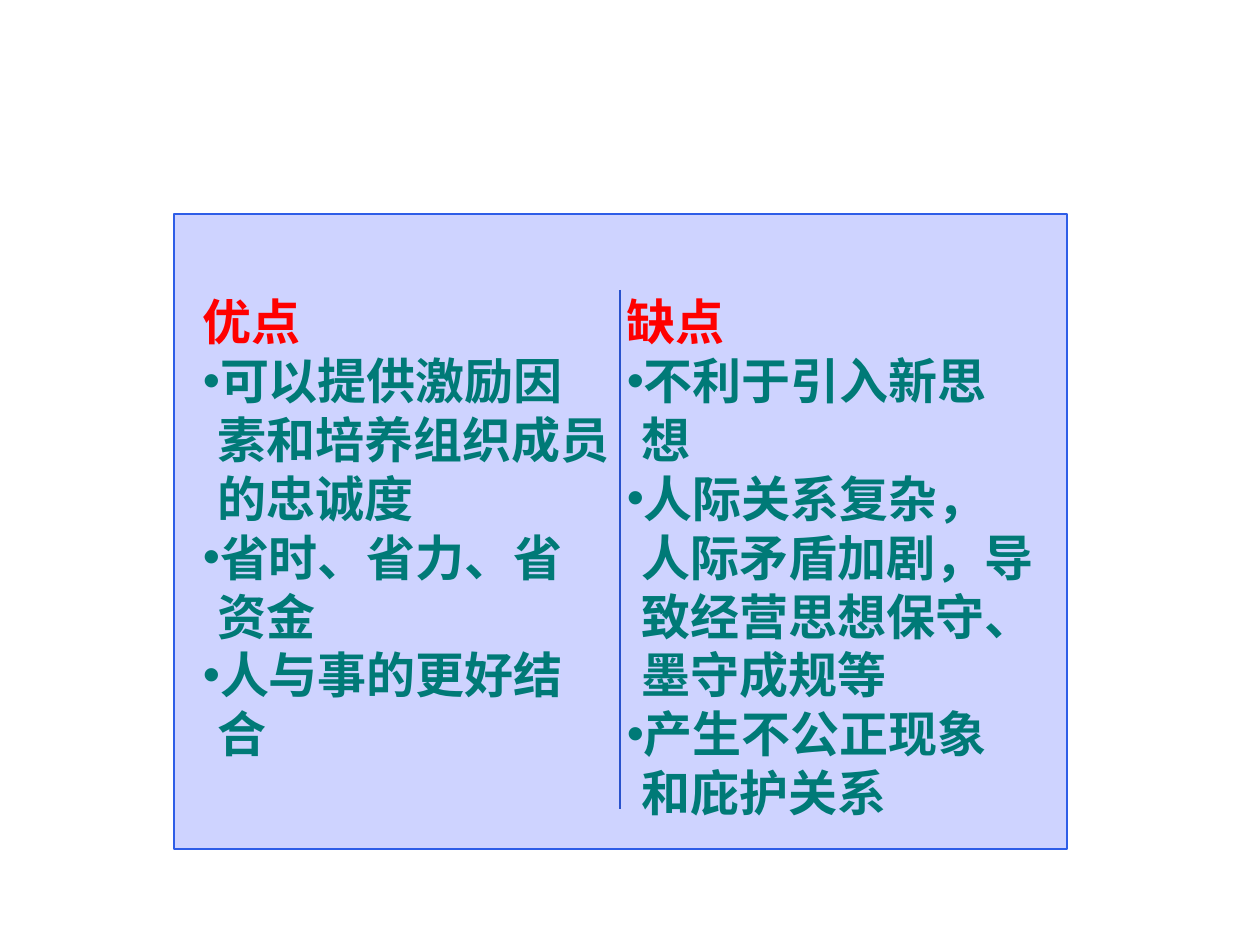
import lxml.etree
import pptx
import pptx.dml.color
import pptx.enum.shapes
import pptx.enum.text
import pptx.oxml.ns
import pptx.util

RGB = pptx.dml.color.RGBColor
PANEL = RGB(0xCE, 0xD3, 0xFF)
EDGE = RGB(0x2E, 0x5D, 0xE7)
RULE = RGB(0x29, 0x52, 0xCC)
RED = RGB(0xFF, 0x00, 0x00)
TEAL = RGB(0x00, 0x7A, 0x77)
SCALE = 914400 // 126
FONT = "Arial"
INSET = 3
HANG = 15

LISTS = (
    (200, "优点", (
        "可以提供激励因素和培养组织成员的忠诚度",
        "省时、省力、省资金",
        "人与事的更好结合",
    )),
    (624, "缺点", (
        "不利于引入新思想",
        "人际关系复杂，人际矛盾加剧，导致经营思想保守、墨守成规等",
        "产生不公正现象和庇护关系",
    )),
)


def px(num):
    return pptx.util.Emu(num * SCALE)


def add(node, tag, **attrs):
    return lxml.etree.SubElement(node, pptx.oxml.ns.qn(tag), **attrs)


def write(para, text, size=28, color=TEAL, bold=True, bullet=False):
    run = para.add_run()
    run.text = text
    font = run.font
    font.name, font.size, font.bold = FONT, pptx.util.Pt(size), bold
    font.color.rgb = color
    add(run._r.get_or_add_rPr(), "a:ea", typeface=FONT)
    if bullet:
        para.level = 1
        props = para._p.get_or_add_pPr()
        props.set("marL", str(px(HANG)))
        props.set("indent", str(px(-HANG)))
        add(props, "a:buFont", typeface=FONT)
        add(props, "a:buChar", char="•")


class Board:
    """Holds the current slide and draws each kind of element on it."""

    def __init__(self, slide):
        self.shapes = slide.shapes

    def panel(self, left, top, width, height):
        kind = pptx.enum.shapes.MSO_SHAPE.RECTANGLE
        shape = self.shapes.add_shape(kind, *map(px, (left, top, width, height)))
        shape.shadow.inherit = False
        shape.fill.solid()
        shape.fill.fore_color.rgb = PANEL
        shape.line.color.rgb = EDGE
        shape.line.width = pptx.util.Pt(1)

    def column(self, left, top, width, height, head, items):
        box = self.shapes.add_textbox(*map(px, (left, top, width, height)))
        frame = box.text_frame
        frame.word_wrap = True
        frame.auto_size = pptx.enum.text.MSO_AUTO_SIZE.NONE
        frame.margin_left = frame.margin_right = px(INSET)
        frame.margin_top = frame.margin_bottom = px(INSET)
        write(frame.paragraphs[0], head, color=RED)
        for item in items:
            write(frame.add_paragraph(), item, bullet=True)

    def rule(self, left, top, right, bottom):
        kind = pptx.enum.shapes.MSO_CONNECTOR.STRAIGHT
        line = self.shapes.add_connector(kind, *map(px, (left, top, right, bottom)))
        line.line.color.rgb = RULE
        line.line.width = pptx.util.Pt(1)
        add(line._element.spPr, "a:effectLst")


def main():
    deck = pptx.Presentation()
    deck.slide_width, deck.slide_height = px(1260), px(945)
    board = Board(deck.slides.add_slide(deck.slide_layouts[6]))
    board.panel(174, 214, 893, 635)
    for left, head, items in LISTS:
        board.column(left, 289, 414, 543, head, items)
    board.rule(620, 290, 620, 809)
    deck.save("out.pptx")


if __name__ == "__main__":
    main()
